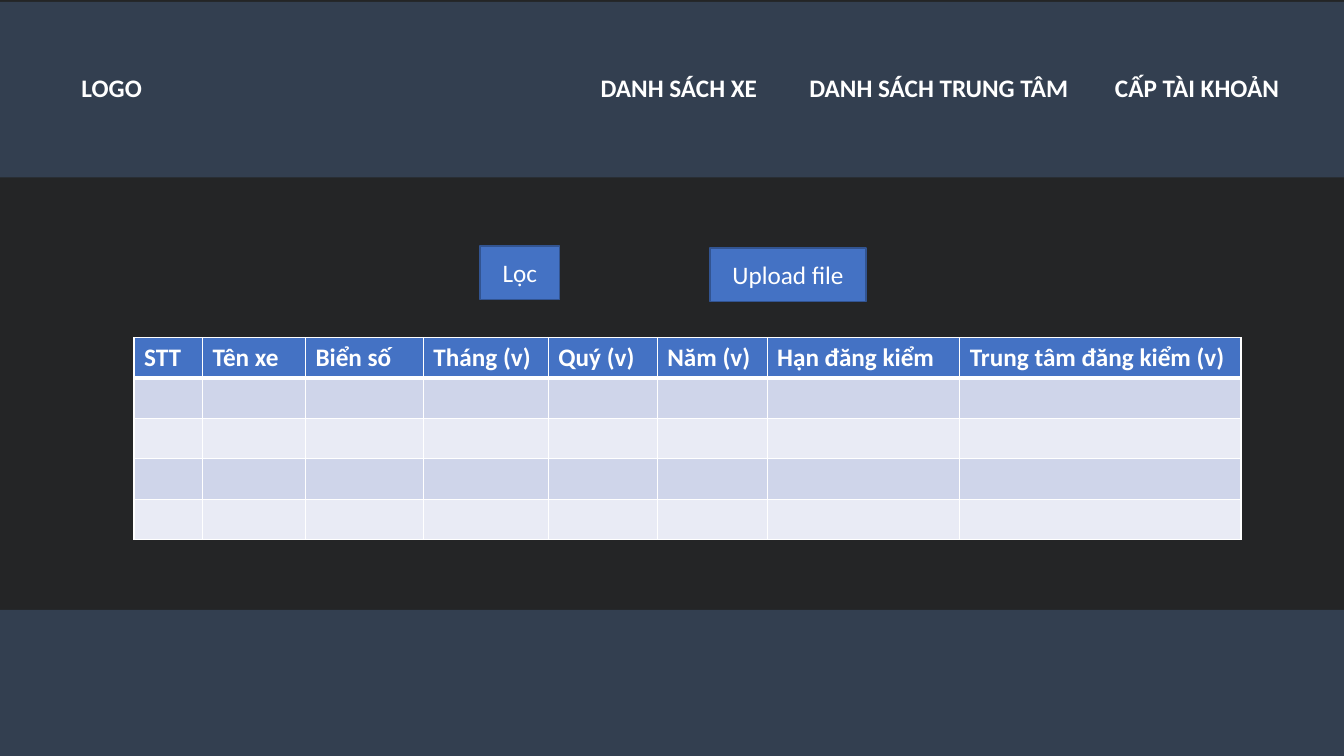
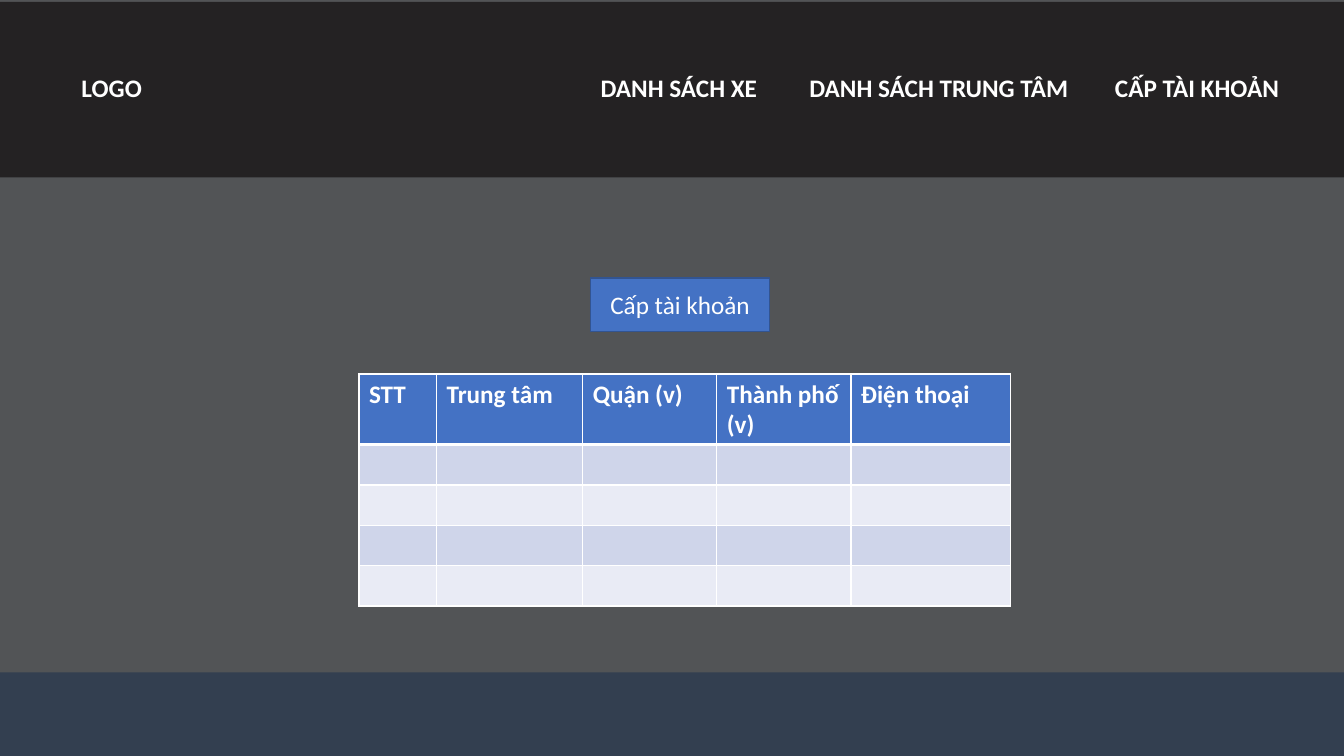
import pptx
import pptx.dml.color
import pptx.enum.shapes
import pptx.enum.text
import pptx.oxml.ns
import pptx.util
from lxml import etree

Inches = pptx.util.Inches
Pt = pptx.util.Pt
RGBColor = pptx.dml.color.RGBColor
PP_ALIGN = pptx.enum.text.PP_ALIGN
MSO_ANCHOR = pptx.enum.text.MSO_ANCHOR

WHITE = RGBColor(0xFF, 0xFF, 0xFF)
SLATE = RGBColor(0x33, 0x3F, 0x50)
CHARCOAL = RGBColor(0x24, 0x25, 0x26)
BLACK = RGBColor(0x24, 0x22, 0x23)
GRAY = RGBColor(0x52, 0x54, 0x56)
BLUE = RGBColor(0x44, 0x72, 0xC4)
DARK_BLUE = RGBColor(0x32, 0x54, 0x91)
ROW_FILLS = (RGBColor(0xE9, 0xEB, 0xF5), RGBColor(0xCF, 0xD5, 0xEA))

FONT = "Calibri"
SLIDE_WIDTH, SLIDE_HEIGHT = 13.33, 7.5
HEADER_TOP, HEADER_HEIGHT = 0.02, 1.74
BUTTON_HEIGHT = 0.53
ROW_HEIGHT = 0.4
BODY_ROWS = 4
MENU = (
    ("LOGO", 0.71, 1.13),
    ("DANH SÁCH XE", 5.86, 1.84),
    ("DANH SÁCH TRUNG TÂM", 7.93, 2.79),
    ("CẤP TÀI KHOẢN", 10.96, 1.84),
)


def write_text(frame, text, size=18, color=WHITE, bold=False, align=PP_ALIGN.LEFT):
    """Write one formatted paragraph into a text frame."""
    paragraph = frame.paragraphs[0]
    paragraph.alignment = align
    run = paragraph.add_run()
    run.text = text
    run.font.name = FONT
    run.font.size = Pt(size)
    run.font.bold = bold
    run.font.color.rgb = color


def add_rectangle(slide, left, top, width, height, fill, line=None):
    """Add a flat rectangle, outlined only if a line colour is given."""
    rectangle = slide.shapes.add_shape(
        pptx.enum.shapes.MSO_SHAPE.RECTANGLE,
        Inches(left), Inches(top), Inches(width), Inches(height))
    rectangle.shadow.inherit = False
    rectangle.fill.solid()
    rectangle.fill.fore_color.rgb = fill
    if line is None:
        rectangle.line.fill.background()
    else:
        rectangle.line.color.rgb = line
        rectangle.line.width = Pt(1)
    return rectangle


def add_header(slide, top, height, fill):
    """Add the header band with the menu centred in its height."""
    add_rectangle(slide, 0, top, SLIDE_WIDTH, height, fill)
    label_height = 0.4
    label_top = top + (height - label_height) / 2 - 0.02
    for text, left, width in MENU:
        label = slide.shapes.add_textbox(
            Inches(left), Inches(label_top), Inches(width), Inches(label_height))
        label.text_frame.word_wrap = True
        label.text_frame.auto_size = pptx.enum.text.MSO_AUTO_SIZE.SHAPE_TO_FIT_TEXT
        write_text(label.text_frame, text, bold=True)


def add_footer(slide, top):
    """Add the footer band from the given top to the slide's edge."""
    add_rectangle(slide, 0, top, SLIDE_WIDTH, SLIDE_HEIGHT - top, SLATE)


def add_button(slide, text, left, top, width):
    """Add a blue button with a centred caption."""
    button = add_rectangle(slide, left, top, width, BUTTON_HEIGHT, BLUE, DARK_BLUE)
    button.text_frame.word_wrap = True
    button.text_frame.vertical_anchor = MSO_ANCHOR.MIDDLE
    write_text(button.text_frame, text, align=PP_ALIGN.CENTER)


def style_cell(cell, fill, top=1, bottom=1):
    """Give a cell white borders and a solid fill."""
    properties = cell._tc.get_or_add_tcPr()
    for side, width in (("L", 1), ("R", 1), ("T", top), ("B", bottom)):
        border = etree.SubElement(
            properties, pptx.oxml.ns.qn(f"a:ln{side}"), w=str(Pt(width)))
        solid = etree.SubElement(border, pptx.oxml.ns.qn("a:solidFill"))
        etree.SubElement(solid, pptx.oxml.ns.qn("a:srgbClr"), val=str(WHITE))
    cell.fill.solid()
    cell.fill.fore_color.rgb = fill


def add_list_table(slide, left, top, columns, header_height=ROW_HEIGHT):
    """Add a table with a heading row and empty banded rows."""
    heights = [header_height] + [ROW_HEIGHT] * BODY_ROWS
    table = slide.shapes.add_table(
        len(heights), len(columns), Inches(left), Inches(top),
        Inches(sum(width for _, width in columns)), Inches(sum(heights))).table
    for row, height in zip(table.rows, heights):
        row.height = Inches(height)
    for index, (heading, width) in enumerate(columns):
        table.columns[index].width = Inches(width)
        heading_cell = table.cell(0, index)
        style_cell(heading_cell, BLUE, bottom=3)
        write_text(heading_cell.text_frame, heading, bold=True)
        for row in range(1, len(heights)):
            style_cell(table.cell(row, index), ROW_FILLS[row % 2],
                       top=3 if row == 1 else 1)


def add_page(deck, background, header_fill, footer_top):
    """Add a blank slide with its background, header and footer."""
    slide = deck.slides.add_slide(deck.slide_layouts[6])
    slide.background.fill.solid()
    slide.background.fill.fore_color.rgb = background
    add_header(slide, HEADER_TOP, HEADER_HEIGHT, header_fill)
    add_footer(slide, footer_top)
    return slide


def add_vehicle_page(deck):
    """Add the page that lists vehicles."""
    slide = add_page(deck, CHARCOAL, SLATE, 6.05)
    add_button(slide, "Lọc", 4.76, 2.44, 0.79)
    add_button(slide, "Upload file", 7.04, 2.46, 1.55)
    add_list_table(slide, 1.33, 3.35, (
        ("STT", 0.68), ("Tên xe", 1.02), ("Biển số", 1.17), ("Tháng (v)", 1.24),
        ("Quý (v)", 1.08), ("Năm (v)", 1.09), ("Hạn đăng kiểm", 1.91),
        ("Trung tâm đăng kiểm (v)", 2.79)))


def add_centre_page(deck):
    """Add the page that lists inspection centres."""
    slide = add_page(deck, GRAY, BLACK, 6.67)
    add_button(slide, "Cấp tài khoản", 5.86, 2.76, 1.77)
    add_list_table(slide, 3.56, 3.71, (
        ("STT", 0.77), ("Trung tâm", 1.45), ("Quận (v)", 1.33),
        ("Thành phố (v)", 1.33), ("Điện thoại", 1.58)), header_height=0.7)


def main():
    """Build and save the deck."""
    deck = pptx.Presentation()
    deck.slide_width = Inches(SLIDE_WIDTH)
    deck.slide_height = Inches(SLIDE_HEIGHT)
    add_vehicle_page(deck)
    add_centre_page(deck)
    deck.save("out.pptx")


if __name__ == "__main__":
    main()
